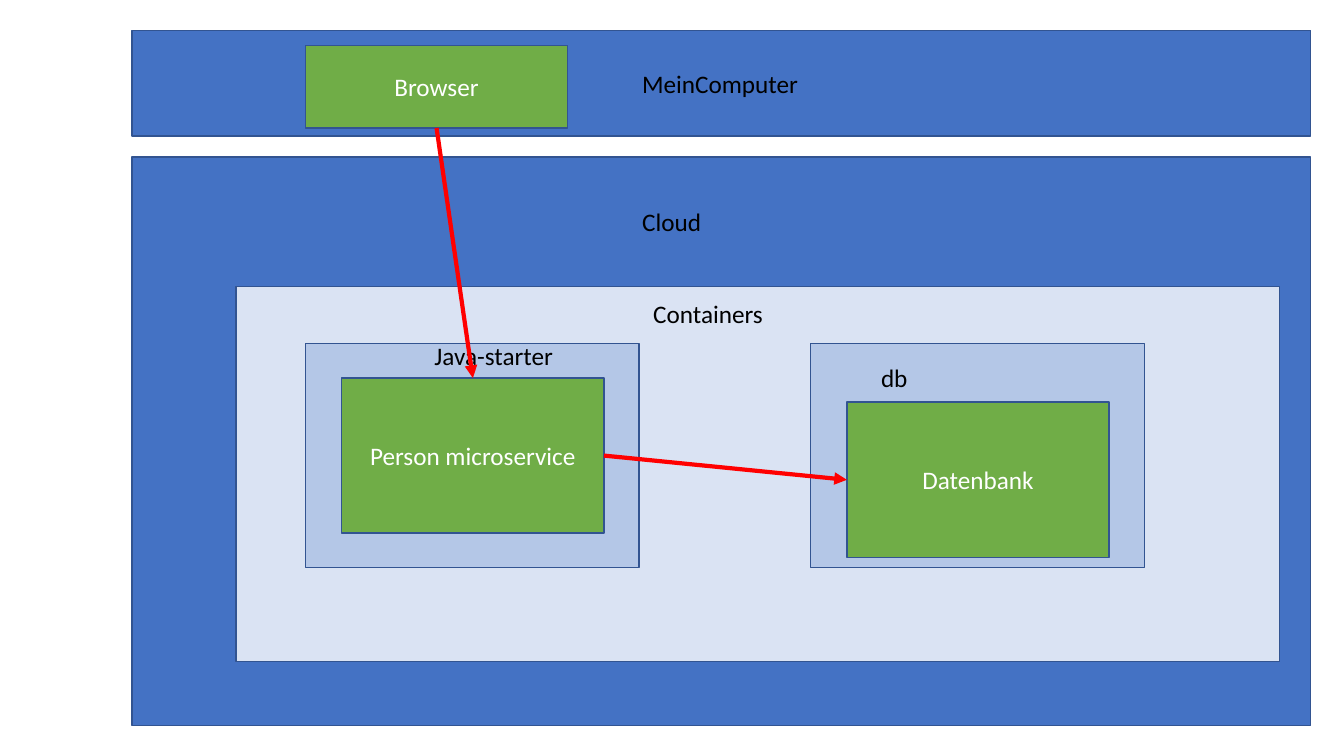
from lxml import etree
from pptx import Presentation
from pptx.dml.color import RGBColor
from pptx.enum.shapes import MSO_CONNECTOR, MSO_SHAPE
from pptx.enum.text import MSO_ANCHOR, MSO_AUTO_SIZE, PP_ALIGN
from pptx.oxml.ns import qn
from pptx.util import Inches, Pt

RECTANGLE = MSO_SHAPE.RECTANGLE
STRAIGHT = MSO_CONNECTOR.STRAIGHT
MIDDLE = MSO_ANCHOR.MIDDLE
FIT_SHAPE = MSO_AUTO_SIZE.SHAPE_TO_FIT_TEXT
LEFT, CENTER = PP_ALIGN.LEFT, PP_ALIGN.CENTER

BLUE = RGBColor(0x44, 0x72, 0xC4)
MEDIUM_BLUE = RGBColor(0xB4, 0xC7, 0xE7)
PALE_BLUE = RGBColor(0xDA, 0xE3, 0xF3)
OUTLINE = RGBColor(0x32, 0x54, 0x91)
GREEN = RGBColor(0x70, 0xAD, 0x47)
RED = RGBColor(0xFF, 0, 0)
BLACK = RGBColor(0, 0, 0)
WHITE = RGBColor(0xFF, 0xFF, 0xFF)

# Connection sites of a rectangle
TOP_SITE, LEFT_SITE, BOTTOM_SITE, RIGHT_SITE = range(4)

# Shared sizes and positions
ZONE_LEFT, ZONE_WIDTH = 1.31, 11.69
NAMESPACE_TOP, NAMESPACE_WIDTH, NAMESPACE_HEIGHT = 3.41, 3.31, 2.22
JAVA_LEFT, DATABASE_LEFT = 3.03, 8.04
COMPONENT_WIDTH, COMPONENT_HEIGHT = 2.6, 1.54
COMPONENT_INDENT = 0.36


def write_text(shape, text, color=BLACK, align=LEFT, size=18, font="Calibri"):
    paragraph = shape.text_frame.paragraphs[0]
    paragraph.alignment = align
    run = paragraph.add_run()
    run.text = text
    run.font.size = Pt(size)
    run.font.name = font
    run.font.color.rgb = color


def add_box(slide, left, top, width, height, fill):
    shape = slide.shapes.add_shape(
        RECTANGLE, Inches(left), Inches(top), Inches(width), Inches(height))
    shape.shadow.inherit = False
    shape.fill.solid()
    shape.fill.fore_color.rgb = fill
    shape.line.color.rgb = OUTLINE
    shape.line.width = Pt(1)
    return shape


def add_component(slide, text, left, top, height=COMPONENT_HEIGHT):
    shape = add_box(slide, left, top, COMPONENT_WIDTH, height, GREEN)
    shape.text_frame.word_wrap = True
    shape.text_frame.vertical_anchor = MIDDLE
    write_text(shape, text, color=WHITE, align=CENTER)
    return shape


def add_label(slide, text, left, top, width):
    label = slide.shapes.add_textbox(
        Inches(left), Inches(top), Inches(width), Inches(0.4))
    label.text_frame.word_wrap = False
    label.text_frame.auto_size = FIT_SHAPE
    write_text(label, text)


def add_arrow(slide, source, source_site, target, target_site):
    arrow = slide.shapes.add_connector(STRAIGHT, 0, 0, 0, 0)
    arrow.begin_connect(source, source_site)
    arrow.end_connect(target, target_site)
    arrow.line.color.rgb = RED
    arrow.line.width = Pt(3)
    etree.SubElement(arrow.line._get_or_add_ln(), qn("a:tailEnd"), type="triangle")
    etree.SubElement(arrow._element.spPr, qn("a:effectLst"))


def main():
    presentation = Presentation()
    presentation.slide_width = Inches(13.33)
    presentation.slide_height = Inches(7.5)
    slide = presentation.slides.add_slide(presentation.slide_layouts[6])

    # Zones and cluster
    add_box(slide, ZONE_LEFT, 0.3, ZONE_WIDTH, 1.05, BLUE)
    add_box(slide, ZONE_LEFT, 1.56, ZONE_WIDTH, 5.64, BLUE)
    add_box(slide, 2.34, 2.84, 10.35, 3.72, PALE_BLUE)

    # Namespaces
    for left in (JAVA_LEFT, DATABASE_LEFT):
        add_box(slide, left, NAMESPACE_TOP, NAMESPACE_WIDTH, NAMESPACE_HEIGHT,
                MEDIUM_BLUE)

    # Components
    browser = add_component(slide, "Browser", JAVA_LEFT, 0.45, height=0.82)
    microservice = add_component(
        slide, "Person microservice", JAVA_LEFT + COMPONENT_INDENT, 3.75)
    database = add_component(
        slide, "Datenbank", DATABASE_LEFT + COMPONENT_INDENT, 3.99)

    # Labels
    for text, left, top, width in (
        ("MeinComputer", 6.27, 0.63, 1.77),
        ("Cloud", 6.27, 2, 0.79),
        ("Containers", 6.38, 2.91, 1.37),
        ("Java-starter", 4.21, 3.33, 1.39),
        ("db", 8.64, 3.55, 0.47),
    ):
        add_label(slide, text, left, top, width)

    # Request flow
    add_arrow(slide, browser, BOTTOM_SITE, microservice, TOP_SITE)
    add_arrow(slide, microservice, RIGHT_SITE, database, LEFT_SITE)

    presentation.save("out.pptx")


main()
